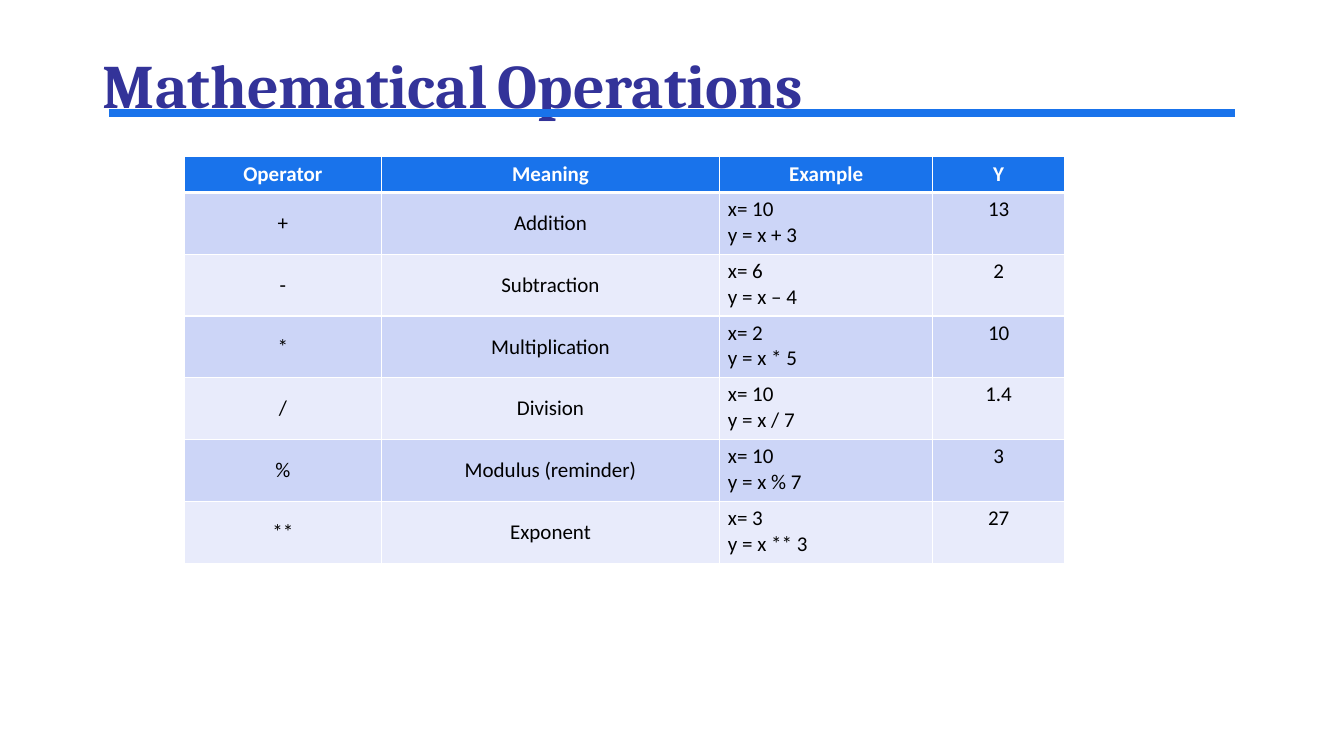
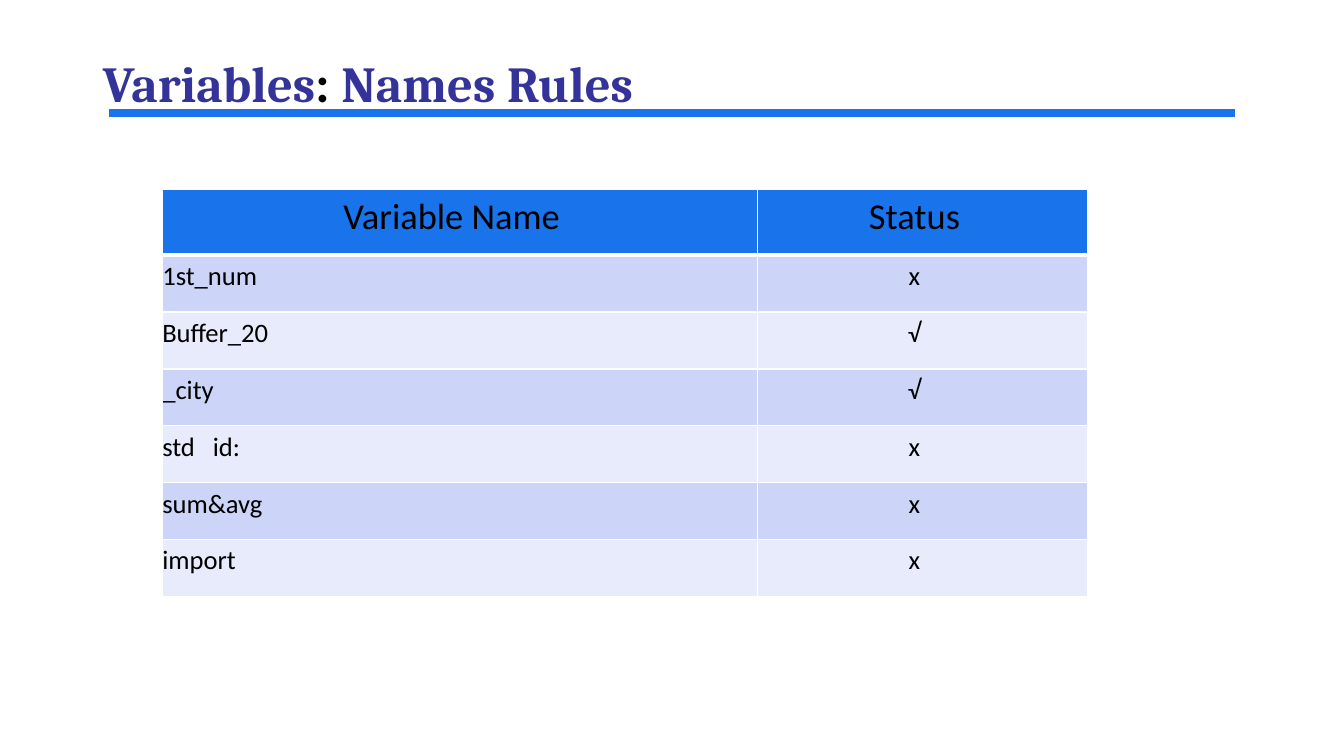
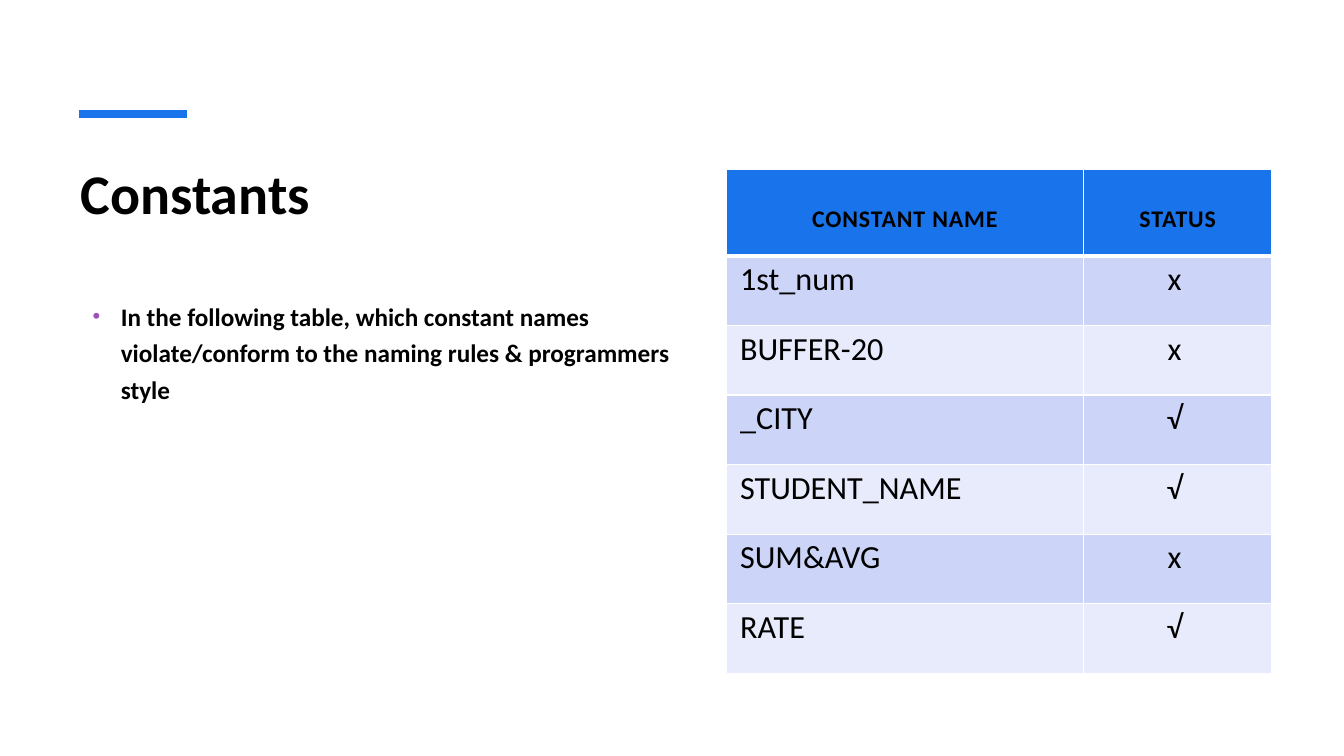
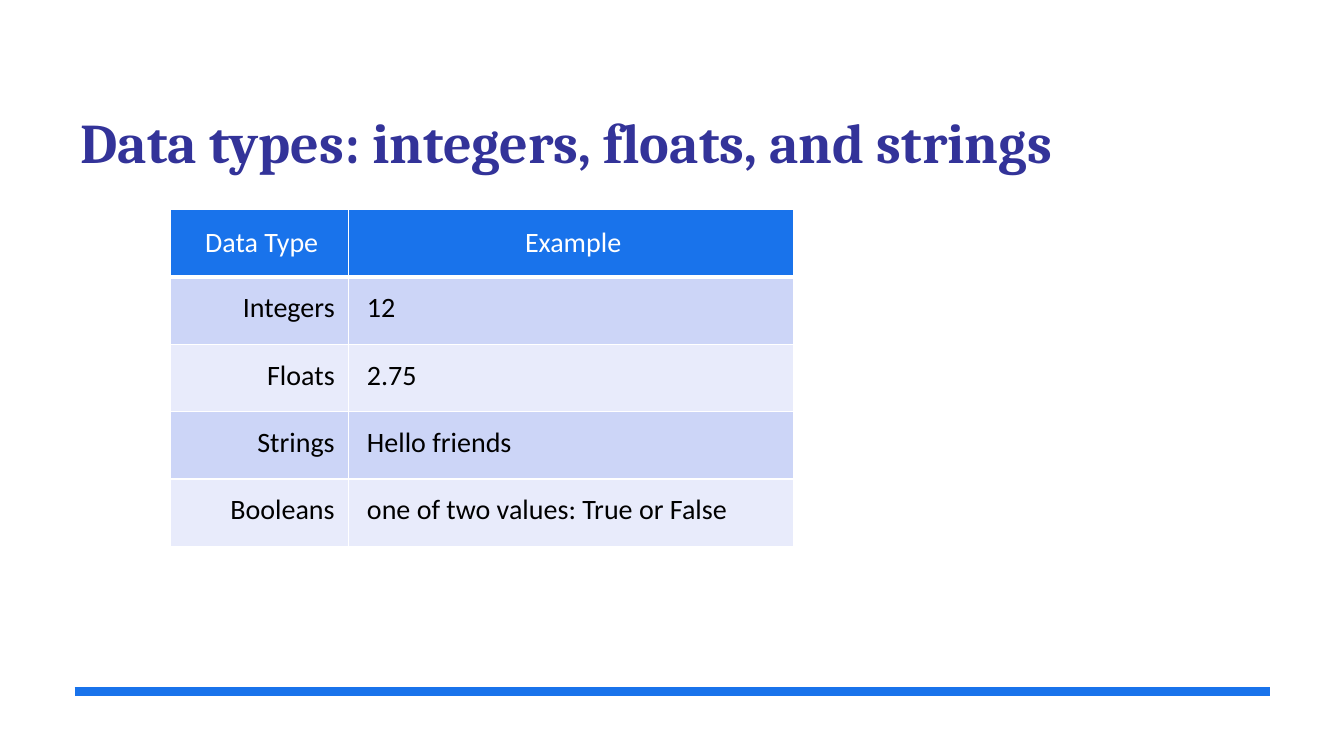
from lxml import etree
from pptx import Presentation
from pptx.dml.color import RGBColor
from pptx.enum.shapes import MSO_CONNECTOR
from pptx.enum.text import MSO_ANCHOR, MSO_AUTO_SIZE, PP_ALIGN
from pptx.oxml.ns import qn
from pptx.util import Inches, Pt

LEFT, CENTER, RIGHT = PP_ALIGN.LEFT, PP_ALIGN.CENTER, PP_ALIGN.RIGHT
TOP, MIDDLE, BOTTOM = MSO_ANCHOR.TOP, MSO_ANCHOR.MIDDLE, MSO_ANCHOR.BOTTOM
STRAIGHT = MSO_CONNECTOR.STRAIGHT
NO_AUTOFIT = MSO_AUTO_SIZE.NONE

BLACK = RGBColor(0x00, 0x00, 0x00)
WHITE = RGBColor(0xFF, 0xFF, 0xFF)
INDIGO = RGBColor(0x33, 0x33, 0x99)
BLUE = RGBColor(0x19, 0x73, 0xEB)
PURPLE = RGBColor(0x9C, 0x50, 0xB8)
BANDS = (RGBColor(0xCC, 0xD5, 0xF7), RGBColor(0xE8, 0xEB, 0xFB))

HEADING = {"name": "Cambria", "bold": True, "color": INDIGO}
PLAIN = {"name": "Calibri", "bold": False, "color": BLACK}
STRONG = {**PLAIN, "bold": True}
MARGINS = ("margin_left", "margin_top", "margin_right", "margin_bottom")


def apply_format(font, values):
    for name, value in values.items():
        if name == "color":
            font.color.rgb = value
        elif name == "size":
            font.size = Pt(value)
        else:
            setattr(font, name, value)


def add_spans(para, spans):
    for text, values in spans:
        span = para.add_run()
        span.text = text
        apply_format(span.font, values)


def add_title(page, box, spans, line_spacing=1.0, top_inset=0.07):
    title = page.shapes.title
    title.left, title.top, title.width, title.height = map(Inches, box)
    frame = title.text_frame
    frame.word_wrap = True
    frame.auto_size = NO_AUTOFIT
    frame.vertical_anchor = TOP
    frame.margin_top = Inches(top_inset)
    para = frame.paragraphs[0]
    para.alignment = LEFT
    para.line_spacing = line_spacing
    add_spans(para, spans)


def add_rule(page, left, right, top):
    rule = page.shapes.add_connector(
        STRAIGHT, Inches(left), Inches(top), Inches(right), Inches(top))
    rule.line.color.rgb = BLUE
    rule.line.width = Pt(6)
    etree.SubElement(rule._element.spPr, qn("a:effectLst"))


def add_bullet(page, box, text):
    frame = page.shapes.add_textbox(*map(Inches, box)).text_frame
    frame.word_wrap = True
    para = frame.paragraphs[0]
    para.line_spacing = 1.2
    para.space_before = Pt(5)
    add_spans(para, [(text, {**STRONG, "size": 18})])
    properties = para._p.get_or_add_pPr()
    properties.set("marL", str(Inches(0.4)))
    properties.set("indent", str(Inches(-0.28)))
    color = etree.SubElement(properties, qn("a:buClr"))
    etree.SubElement(color, qn("a:srgbClr"), val=str(PURPLE))
    etree.SubElement(properties, qn("a:buSzPct"), val="87000")
    etree.SubElement(properties, qn("a:buFont"), typeface="Arial")
    etree.SubElement(properties, qn("a:buChar"), char="•")


def add_borders(cell, row):
    widths = {"L": 1, "R": 1, "T": 3 if row == 1 else 1, "B": 3 if row == 0 else 1}
    properties = cell._tc.get_or_add_tcPr()
    for side, width in widths.items():
        border = etree.SubElement(properties, qn(f"a:ln{side}"), w=str(Pt(width)))
        fill = etree.SubElement(border, qn("a:solidFill"))
        etree.SubElement(fill, qn("a:srgbClr"), val=str(WHITE))


def fill_cell(cell, row, text, style, align, anchor):
    add_borders(cell, row)
    cell.fill.solid()
    cell.fill.fore_color.rgb = BANDS[(row - 1) % 2] if row else BLUE
    cell.vertical_anchor = anchor
    for name, value in zip(MARGINS, style["insets"]):
        setattr(cell, name, Inches(value))
    cell.text_frame.text = text
    for para in cell.text_frame.paragraphs:
        para.alignment = align
        for span in para.runs:
            apply_format(span.font, style["font"])
            if "spacing" in style:
                span._r.get_or_add_rPr().set("spc", str(style["spacing"]))


def add_grid(page, box, widths, header_height, rows, header, body):
    left, top, width, height = map(Inches, box)
    table = page.shapes.add_table(
        len(rows), len(widths), left, top, width, height).table
    for column, size in zip(table.columns, widths):
        column.width = Inches(size)
    row_height = (height - Inches(header_height)) // (len(rows) - 1)
    for index, texts in enumerate(rows):
        table.rows[index].height = row_height if index else Inches(header_height)
        for column, text in enumerate(texts):
            style = body if index else header
            align = body["aligns"][column] if index else CENTER
            anchor = body["anchors"][column] if index else header["anchor"]
            fill_cell(table.cell(index, column), index, text, style, align, anchor)


def build_operations(page):
    add_title(page, (0.92, 0.5, 11.33, 1.25), [
        ("Mathematical", {**HEADING, "size": 44.1}),
        (" ", {**HEADING, "size": 32.4}),
        ("Operations", {**HEADING, "size": 44.1}),
    ], 0.9, 0.05)
    add_rule(page, 1.08, 12.25, 1.12)
    rows = [
        ("Operator", "Meaning", "Example", "Y"),
        ("+", "Addition", "x= 10\ny = x + 3", "13"),
        ("-", "Subtraction", "x= 6\ny = x – 4", "2"),
        ("*", "Multiplication", "x= 2\ny = x * 5", "10"),
        ("/", "Division", "x= 10\ny = x / 7", "1.4"),
        ("%", "Modulus (reminder)", "x= 10\ny = x % 7", "3"),
        ("**", "Exponent", "x= 3\ny = x ** 3", "27"),
    ]
    insets = (0.08, 0.04, 0.08, 0.04)
    header = {"font": {**STRONG, "size": 15, "color": WHITE},
              "insets": insets, "anchor": MIDDLE}
    body = {"font": {**PLAIN, "size": 15}, "insets": insets,
            "aligns": (CENTER, CENTER, LEFT, CENTER),
            "anchors": (MIDDLE, MIDDLE, TOP, TOP)}
    add_grid(page, (1.83, 1.55, 8.73, 4.04), (1.95, 3.36, 2.11, 1.31),
             0.36, rows, header, body)


def build_variables(page):
    name = {**HEADING, "size": 36}
    gap = {**STRONG, "size": 37}
    add_title(page, (0.92, 0.5, 11.33, 1.25), [
        ("Variables", name), (": ", gap), ("Names", name), (" ", gap), ("Rules", name),
    ], 0.9)
    add_rule(page, 1.08, 12.25, 1.12)
    rows = [
        ("Variable Name", "Status"),
        ("1st_num", "x"),
        ("Buffer_20", "√"),
        ("_city", "√"),
        ("std   id:", "x"),
        ("sum&avg", "x"),
        ("import", "x"),
    ]
    header = {"font": {**PLAIN, "size": 26},
              "insets": (0, 0.03, 0.16, 0.16), "anchor": BOTTOM}
    body = {"font": {**PLAIN, "size": 19}, "insets": (0, 0.05, 0.16, 0.16),
            "aligns": (LEFT, CENTER), "anchors": (TOP, TOP)}
    add_grid(page, (1.61, 1.88, 9.18, 4.04), (5.9, 3.28), 0.65, rows, header, body)


def build_constants(page):
    add_title(page, (0.7, 1.5, 6.27, 1.2), [("Constants", {**STRONG, "size": 40})])
    add_rule(page, 0.78, 1.85, 1.13)
    add_bullet(page, (0.7, 2.88, 6.28, 4.01),
               "In the following table, which constant names violate/conform "
               "to the naming rules & programmers style")
    rows = [
        ("CONSTANT NAME", "STATUS"),
        ("1st_num", "x"),
        ("BUFFER-20", "x"),
        ("_CITY", "√"),
        ("STUDENT_NAME", "√"),
        ("SUM&AVG", "x"),
        ("RATE", "√"),
    ]
    header = {"font": {**STRONG, "size": 17}, "insets": (0.22,) * 4,
              "anchor": BOTTOM, "spacing": 60}
    body = {"font": {**PLAIN, "size": 23}, "insets": (0.14, 0.04, 0.2, 0.14),
            "aligns": (LEFT, CENTER), "anchors": (TOP, TOP)}
    add_grid(page, (7.2, 1.68, 5.41, 5), (3.55, 1.86), 0.86, rows, header, body)


def build_data_types(page):
    add_title(page, (0.7, 1, 11.86, 1.28), [
        ("Data types: integers, floats, and strings", {**HEADING, "size": 40}),
    ])
    add_rule(page, 0.74, 12.6, 6.86)
    rows = [
        ("Data Type", "Example"),
        ("Integers", "12"),
        ("Floats", "2.75"),
        ("Strings", "Hello friends"),
        ("Booleans", "one of two values: True or False"),
    ]
    insets = (0.18, 0.14, 0.14, 0.14)
    header = {"font": {**PLAIN, "size": 20, "color": WHITE},
              "insets": insets, "anchor": MIDDLE}
    body = {"font": {**PLAIN, "size": 20}, "insets": insets,
            "aligns": (RIGHT, LEFT), "anchors": (TOP, TOP)}
    add_grid(page, (1.69, 2.08, 6.18, 3.34), (1.77, 4.41), 0.67, rows, header, body)


def main():
    deck = Presentation()
    deck.slide_width, deck.slide_height = Inches(13.33), Inches(7.5)
    title_only = deck.slide_layouts.get_by_name("Title Only")
    for build in (build_operations, build_variables, build_constants, build_data_types):
        build(deck.slides.add_slide(title_only))
    deck.save("out.pptx")


if __name__ == "__main__":
    main()
